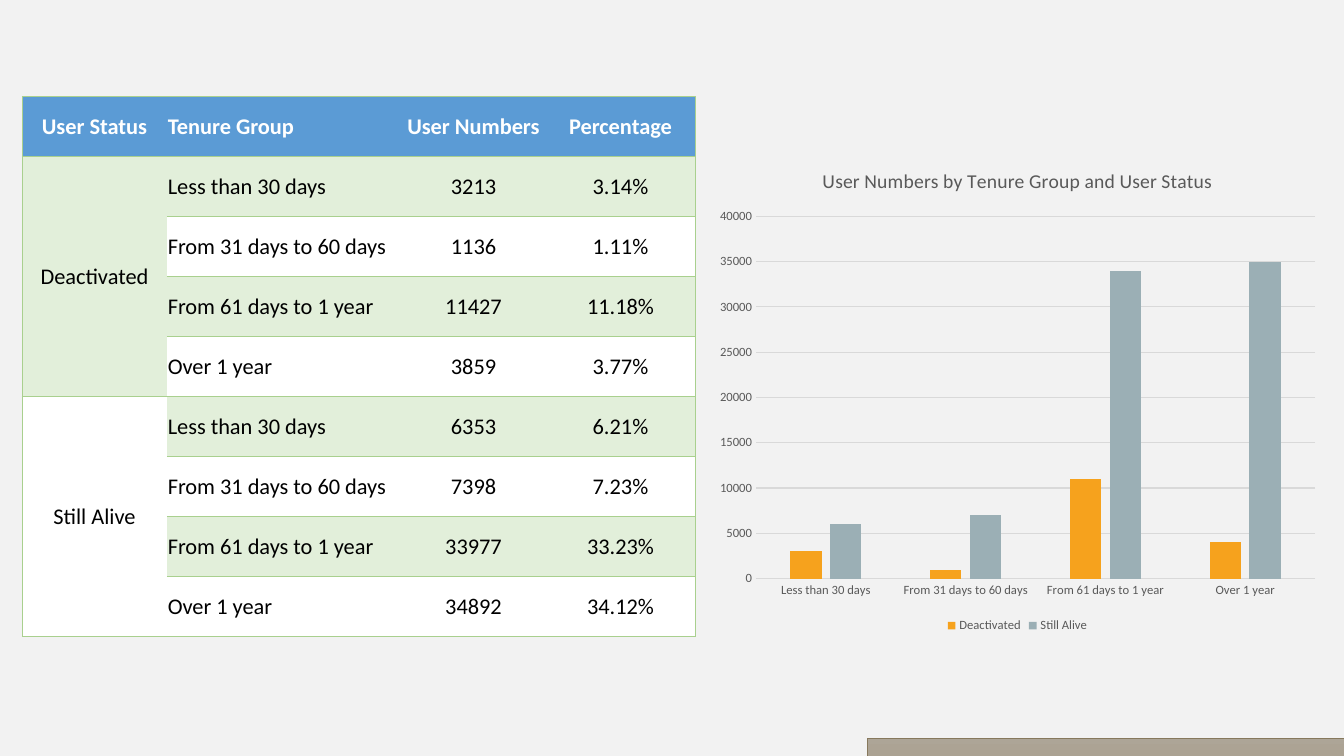
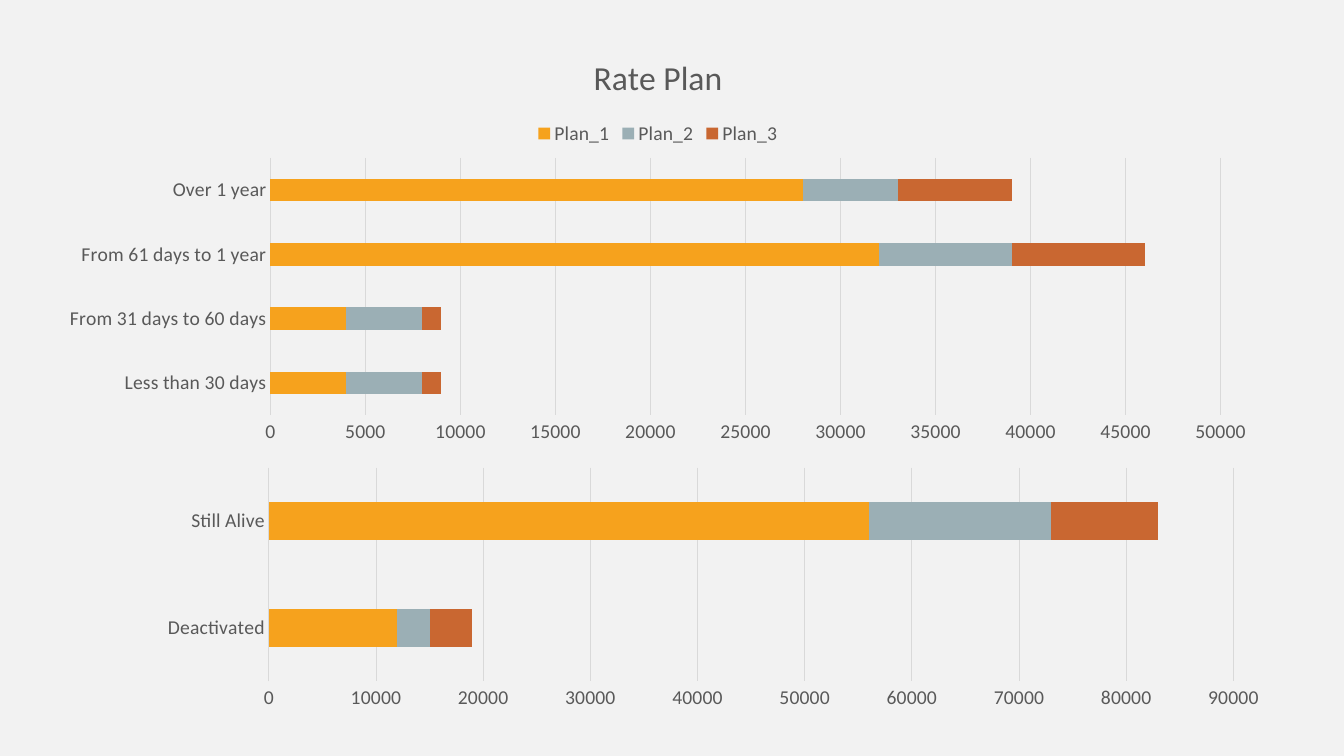
"""Build two slides on user tenure, account status and rate plans."""
from dataclasses import dataclass

from lxml.etree import SubElement
from pptx import Presentation
from pptx.chart.data import CategoryChartData
from pptx.dml.color import RGBColor
from pptx.enum.chart import XL_CHART_TYPE as ChartType
from pptx.enum.chart import XL_LEGEND_POSITION as LegendPlace
from pptx.enum.chart import XL_TICK_MARK as TickMark
from pptx.enum.shapes import MSO_SHAPE as Preset
from pptx.enum.text import MSO_ANCHOR as Anchor
from pptx.enum.text import PP_ALIGN as Align
from pptx.oxml.ns import qn
from pptx.util import Inches, Pt

rgb = RGBColor.from_string


@dataclass(frozen=True)
class Theme:
    font: str = "Calibri"
    background: str = "F2F2F2"
    header: str = "5B9BD5"
    header_text: str = "FFFFFF"
    stripes: tuple = ("FFFFFF", "E2EFDA")
    cell_text: str = "000000"
    border: str = "A9D08E"
    chart_text: str = "595959"
    grid: str = "D9D9D9"
    series: tuple = ("F6A21D", "9BAFB5", "C96731")
    band: tuple = ("ADA597", "ABA292")
    band_line: str = "87795D"
    cell_size: int = 16
    border_width: float = 0.5
    grid_width: float = 0.75


theme = Theme()
deck = Presentation()
deck.slide_width, deck.slide_height = Inches(13.33), Inches(7.5)
master_fill = deck.slide_master.background.fill
master_fill.solid()
master_fill.fore_color.rgb = rgb(theme.background)
blank = deck.slide_layouts[6]


def share(left, top, width, height):
    """Turn percentages of the slide into a position and a size."""
    across, down = deck.slide_width / 100, deck.slide_height / 100
    return [round(length) for length in (left * across, top * down, width * across, height * down)]


def draw_chart(slide, kind, place, categories, series, top_value, step, size,
               gap, overlap, title=None, title_size=None, legend=None):
    """Draw one bar or column chart in the deck's style."""
    data = CategoryChartData()
    data.categories = categories
    for name, values in series.items():
        data.add_series(name, values)
    chart = slide.shapes.add_chart(kind, *share(*place), data).chart
    chart.font.name, chart.font.size = theme.font, Pt(size)
    chart.font.color.rgb = rgb(theme.chart_text)

    chart.has_title = title is not None
    if title:
        chart.chart_title.include_in_layout = False
        heading = chart.chart_title.text_frame
        heading.text = title
        font = heading.paragraphs[0].font
        font.name, font.size, font.bold = theme.font, Pt(title_size), False
        font.color.rgb = rgb(theme.chart_text)

    chart.has_legend = legend is not None
    if legend is not None:
        chart.legend.position = legend
        chart.legend.include_in_layout = False

    category_axis, value_axis = chart.category_axis, chart.value_axis
    for axis in (category_axis, value_axis):
        axis.major_tick_mark = axis.minor_tick_mark = TickMark.NONE
    value_axis.minimum_scale, value_axis.maximum_scale = 0, top_value
    value_axis.major_unit = step
    value_axis.format.line.fill.background()
    for line in (category_axis.format.line, value_axis.major_gridlines.format.line):
        line.color.rgb = rgb(theme.grid)
        line.width = Pt(theme.grid_width)

    plot = chart.plots[0]
    plot.vary_by_categories = False
    plot.gap_width, plot.overlap = gap, overlap
    for bars, colour in zip(plot.series, theme.series):
        bars.format.fill.solid()
        bars.format.fill.fore_color.rgb = rgb(colour)


tenures = ["Less than 30 days", "From 31 days to 60 days", "From 61 days to 1 year", "Over 1 year"]
users = {"Deactivated": [3213, 1136, 11427, 3859], "Still Alive": [6353, 7398, 33977, 34892]}
percentages = {"Deactivated": ["3.14%", "1.11%", "11.18%", "3.77%"],
               "Still Alive": ["6.21%", "7.23%", "33.23%", "34.12%"]}
rows = [("User Status", "Tenure Group", "User Numbers", "Percentage")]
for status in users:
    for tenure, count, percentage in zip(tenures, users[status], percentages[status]):
        rows.append((status if tenure == tenures[0] else "", tenure, str(count), percentage))
column_shares = (21.5, 34.8, 21.6, 22.1)

tenure_slide = deck.slides.add_slide(blank)
table_place = share(1.65, 12.8, 50.05, 71.47)
table = tenure_slide.shapes.add_table(len(rows), len(column_shares), *table_place).table
table.first_row = table.horz_banding = False
no_style = "{2D5ABB26-0587-4C30-8999-92F81FD0307C}"
table._tbl.tblPr.find(qn("a:tableStyleId")).text = no_style
for column, portion in zip(table.columns, column_shares):
    column.width = round(table_place[2] * portion / 100)
for row in table.rows:
    row.height = round(table_place[3] / len(rows))

for r, texts in enumerate(rows):
    for c, text in enumerate(texts):
        cell = table.cell(r, c)
        edges = ["a:lnL"] * (c == 0) + ["a:lnR"] * (c == len(texts) - 1) + ["a:lnT", "a:lnB"]
        for edge in edges:
            border = SubElement(cell._tc.get_or_add_tcPr(), qn(edge), w=str(Pt(theme.border_width)))
            SubElement(SubElement(border, qn("a:solidFill")), qn("a:srgbClr"), val=theme.border)
        cell.fill.solid()
        cell.fill.fore_color.rgb = rgb(theme.stripes[r % 2] if r else theme.header)
        cell.margin_left = cell.margin_right = cell.margin_top = Inches(0.01)
        cell.margin_bottom = 0
        cell.vertical_anchor = Anchor.MIDDLE
        cell.text = text
        paragraph = cell.text_frame.paragraphs[0]
        paragraph.alignment = Align.LEFT if c == 1 else Align.CENTER
        paragraph.font.name, paragraph.font.size = theme.font, Pt(theme.cell_size)
        paragraph.font.bold = r == 0
        paragraph.font.color.rgb = rgb(theme.cell_text if r else theme.header_text)

for group, status in enumerate(users):
    first = 1 + group * len(tenures)
    status_cell = table.cell(first, 0)
    status_cell.merge(table.cell(first + len(tenures) - 1, 0))
    status_cell.fill.fore_color.rgb = rgb(theme.stripes[1 - group])

rounded_users = {status: [round(count, -3) for count in counts] for status, counts in users.items()}
draw_chart(tenure_slide, ChartType.COLUMN_CLUSTERED, (52.65, 19.6, 46.12, 64.67), tenures, rounded_users,
           top_value=40000, step=5000, size=9, gap=219, overlap=-27,
           title="User Numbers by Tenure Group and User Status", title_size=14,
           legend=LegendPlace.BOTTOM)

band = tenure_slide.shapes.add_shape(Preset.RECTANGLE, *share(64.55, 97.6, 35.45, 2.4))
band.shadow.inherit = False
band.fill.gradient()
band.fill.gradient_angle = 270
for stop, colour in zip(band.fill.gradient_stops, theme.band):
    stop.color.rgb = rgb(colour)
band.line.color.rgb = rgb(theme.band_line)
band.line.width = Pt(theme.border_width)

plan_slide = deck.slides.add_slide(blank)
plans_by_tenure = {"Plan_1": [4000, 4000, 32000, 28000],
                   "Plan_2": [4000, 4000, 7000, 5000],
                   "Plan_3": [1000, 1000, 7000, 6000]}
plans_by_status = {"Series 1": [12000, 56000], "Series 2": [3000, 17000], "Series 3": [4000, 10000]}
stacked = dict(size=14, gap=182, overlap=100)
draw_chart(plan_slide, ChartType.BAR_STACKED, (3.38, 4.67, 91.15, 55.07), tenures, plans_by_tenure,
           top_value=50000, step=5000, title="Rate Plan", title_size=24,
           legend=LegendPlace.TOP, **stacked)
draw_chart(plan_slide, ChartType.BAR_STACKED, (10.8, 61.2, 84.55, 33.33), list(users), plans_by_status,
           top_value=90000, step=10000, **stacked)

deck.save("out.pptx")
